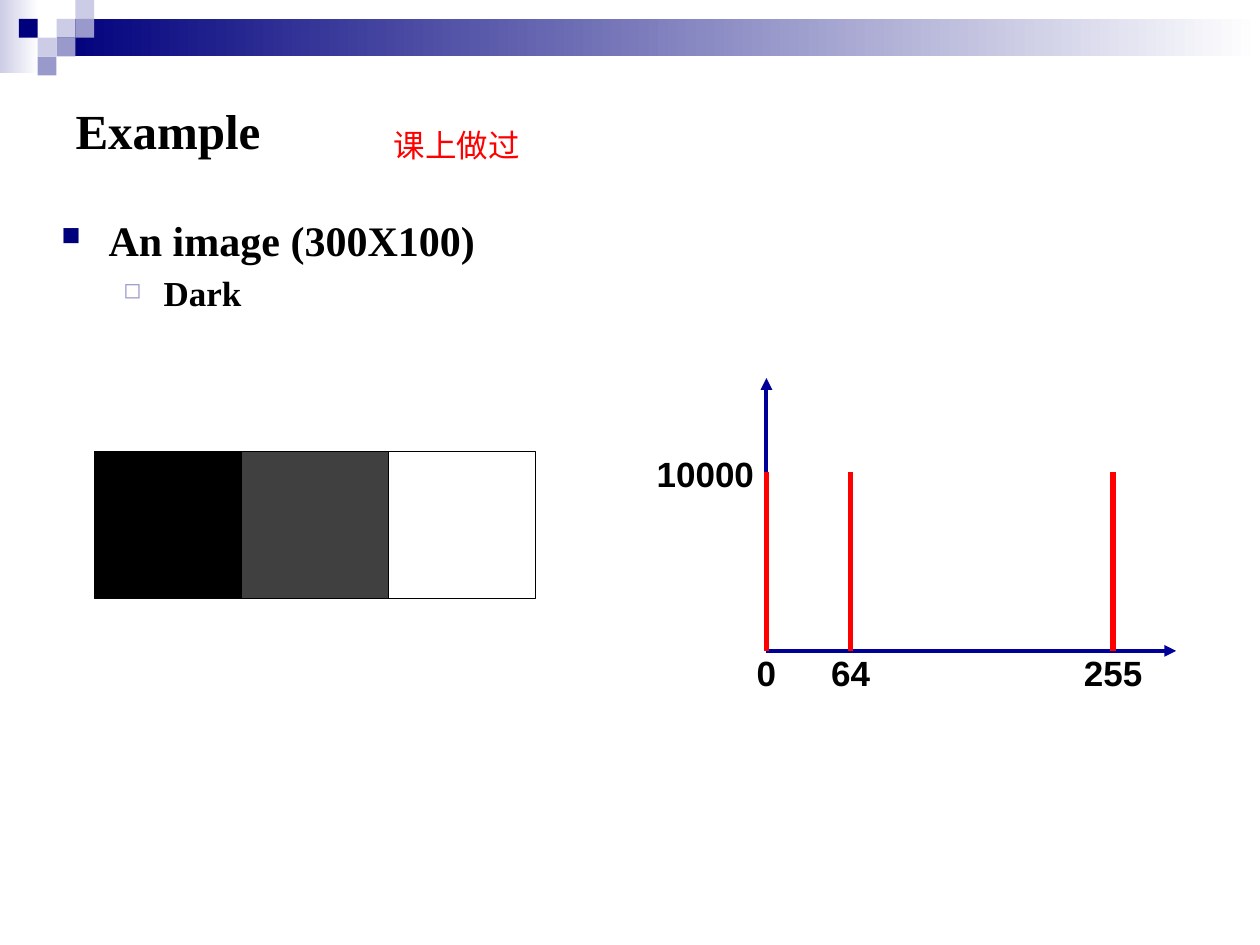
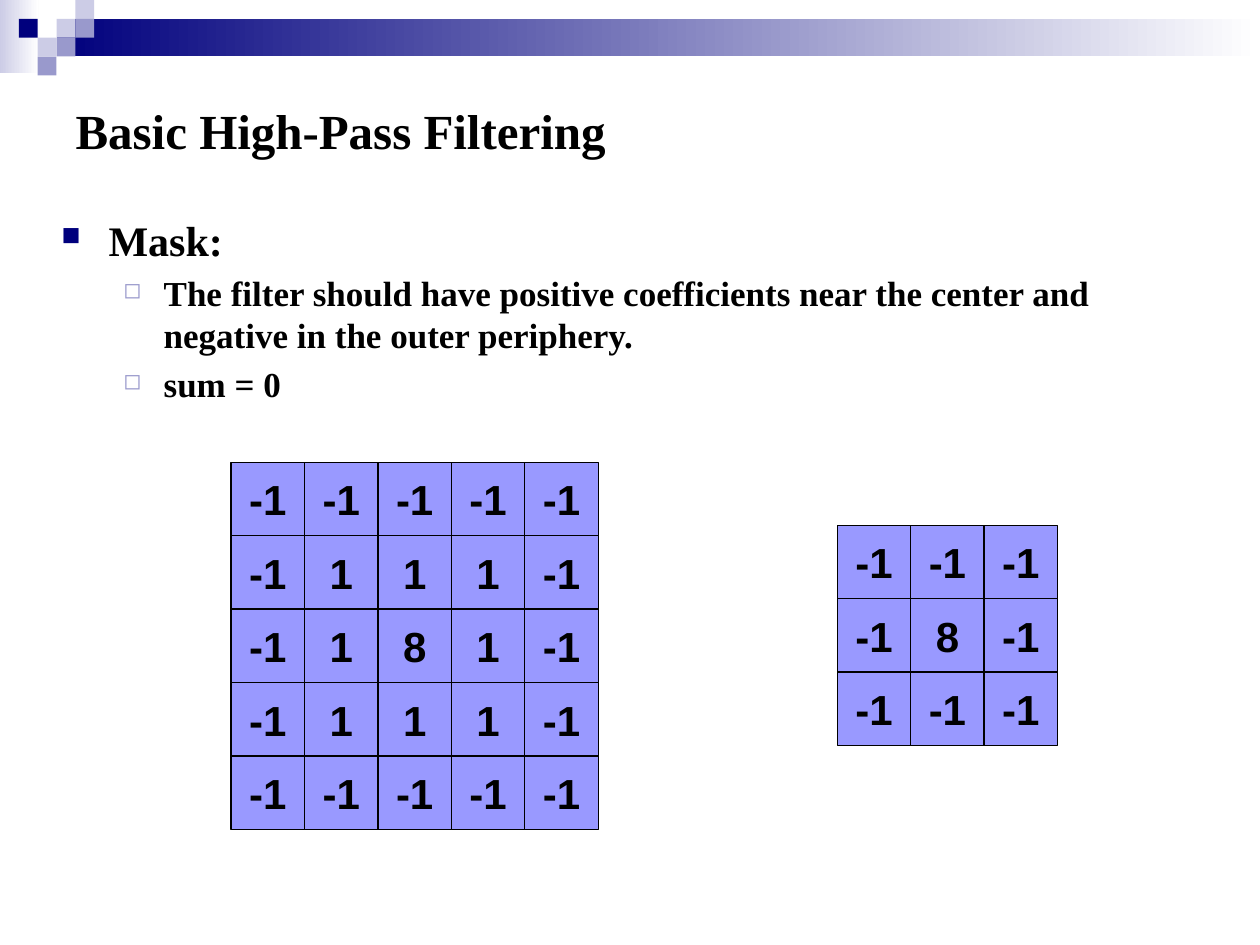
from lxml import etree
from pptx import Presentation
from pptx.dml.color import RGBColor
from pptx.enum.shapes import MSO_CONNECTOR, MSO_SHAPE
from pptx.enum.text import MSO_ANCHOR, PP_ALIGN
from pptx.oxml.ns import qn
from pptx.util import Cm, Pt

RECT = MSO_SHAPE.RECTANGLE
STRAIGHT = MSO_CONNECTOR.STRAIGHT
MIDDLE = MSO_ANCHOR.MIDDLE
LEFT, CENTER = PP_ALIGN.LEFT, PP_ALIGN.CENTER

SERIF, SANS = "Times New Roman", "Arial"
BLACK, WHITE, GRAY, RED = "000000", "FFFFFF", "404040", "FF0000"
NAVY, LAVENDER, PALE = "00007D", "9999CC", "CCCCE6"
AXIS, CELL = "000099", "9999FF"

UNIT = 0.38
SQUARES = [(3, 1, PALE), (4, 0, PALE), (4, 1, LAVENDER), (2, 2, PALE),
           (1, 1, NAVY), (3, 2, LAVENDER), (2, 3, LAVENDER)]
BULLETS = [
    {"char": "■", "color": NAVY, "pct": 62, "size": 24, "left": 0.95, "hang": 0.97},
    {"char": "◻", "color": LAVENDER, "pct": 63, "size": 20, "left": 2.06, "hang": 0.81},
]
MASK_5 = [[-1, -1, -1, -1, -1],
          [-1, 1, 1, 1, -1],
          [-1, 1, 8, 1, -1],
          [-1, 1, 1, 1, -1],
          [-1, -1, -1, -1, -1]]
MASK_3 = [[-1, -1, -1],
          [-1, 8, -1],
          [-1, -1, -1]]


def rgb(color):
    """Turn a hex string into a colour."""
    return RGBColor.from_string(color)


def style(p, size, color=BLACK, font=SERIF, bold=True, align=LEFT):
    """Format the runs of a paragraph."""
    p.alignment = align
    for r in p.runs:
        r.font.name = font
        r.font.size = Pt(size)
        r.font.bold = bold
        r.font.color.rgb = rgb(color)


def add_rect(s, x, y, w, h, fill, outlined=False):
    """Add a rectangle filled with one colour or a pair that fades left to right."""
    sp = s.shapes.add_shape(RECT, Cm(x), Cm(y), Cm(w), Cm(h))
    sp.shadow.inherit = False
    if isinstance(fill, tuple):
        sp.fill.gradient()
        sp.fill.gradient_angle = 0
        for stop, color in zip(sp.fill.gradient_stops, fill):
            stop.color.rgb = rgb(color)
    else:
        sp.fill.solid()
        sp.fill.fore_color.rgb = rgb(fill)
    if outlined:
        sp.line.color.rgb = rgb(BLACK)
        sp.line.width = Pt(0.75)
    else:
        sp.line.fill.background()
    return sp


def add_line(s, x1, y1, x2, y2, color, width, arrow=False):
    """Add a straight line, with an arrowhead at its end if asked."""
    line = s.shapes.add_connector(STRAIGHT, Cm(x1), Cm(y1), Cm(x2), Cm(y2))
    line.line.color.rgb = rgb(color)
    line.line.width = Pt(width)
    if arrow:
        etree.SubElement(line.line._get_or_add_ln(), qn("a:tailEnd"), type="triangle")
    etree.SubElement(line._element.spPr, qn("a:effectLst"))


def add_text(s, x, y, w, h, text, wrap=True):
    """Add a text box and return its text frame."""
    tf = s.shapes.add_textbox(Cm(x), Cm(y), Cm(w), Cm(h)).text_frame
    tf.word_wrap = wrap
    tf.text = text
    return tf


def add_label(s, center_x, center_y, w, text):
    """Add a bold chart label around a centre point."""
    h = 1.1
    tf = add_text(s, center_x - w / 2, center_y - h / 2, w, h, text, wrap=False)
    tf.margin_left = tf.margin_right = 0
    tf.vertical_anchor = MIDDLE
    style(tf.paragraphs[0], 20, font=SANS, align=CENTER)


def add_header(s):
    """Draw the fading bands and the small squares at the top."""
    add_rect(s, 0, 0, 0.78, 1.47, (PALE, WHITE))
    add_rect(s, 3 * UNIT, UNIT, 24.26, 2 * UNIT, (NAVY, WHITE))
    for column, row, color in SQUARES:
        add_rect(s, column * UNIT, row * UNIT, UNIT, UNIT, color)


def add_bullet(p, bullet):
    """Give a paragraph its indent and bullet sign."""
    pPr = p._p.get_or_add_pPr()
    pPr.set("marL", str(Cm(bullet["left"])))
    pPr.set("indent", str(-Cm(bullet["hang"])))
    color = etree.SubElement(pPr, qn("a:buClr"))
    etree.SubElement(color, qn("a:srgbClr"), val=bullet["color"])
    etree.SubElement(pPr, qn("a:buSzPct"), val=str(bullet["pct"] * 1000))
    etree.SubElement(pPr, qn("a:buChar"), char=bullet["char"])


def add_body(s, x, y, w, h, items):
    """Write the bulleted list from pairs of level and text."""
    tf = add_text(s, x, y, w, h, "\n".join(text for _, text in items))
    for i, (p, (level, _)) in enumerate(zip(tf.paragraphs, items)):
        bullet = BULLETS[level]
        p.level = level
        add_bullet(p, bullet)
        if i:
            p.space_before = Pt(bullet["size"] * 0.2)
        style(p, bullet["size"])


def add_slide(prs, title, items, body_height):
    """Start a slide with its header, title and bulleted list."""
    s = prs.slides.add_slide(prs.slide_layouts.get_by_name("Title Only"))
    add_header(s)
    sp = s.shapes.title
    sp.left, sp.top, sp.width, sp.height = Cm(1.27), Cm(1.27), Cm(23.14), Cm(2.69)
    tf = sp.text_frame
    tf.text = title
    tf.vertical_anchor = MIDDLE
    style(tf.paragraphs[0], 28)
    add_body(s, 0.99, 4.19, 23.47, body_height, items)
    return s


def add_gray_tiles(s, x, y, size):
    """Draw the three gray levels of the image side by side."""
    for i, color in enumerate((BLACK, GRAY, WHITE)):
        add_rect(s, x + i * size, y, size, size, color, outlined=True)


def add_histogram(s, x, y, w, h):
    """Draw axes and the bar of each gray level inside the given box."""
    base, bar_height = y + h, 3.6
    add_line(s, x, base, x + w, base, AXIS, 2.25, arrow=True)
    add_line(s, x, base, x, y, AXIS, 2.25, arrow=True)
    add_label(s, x - 1.23, base - bar_height + 0.02, 2.46, "10000")
    for level, offset in ((0, 0), (64, 1.7), (255, 6.99)):
        add_line(s, x + offset, base - bar_height, x + offset, base, RED, 3)
        add_label(s, x + offset, base + 0.43, 1.6, str(level))


def add_mask(s, x, y, size, rows):
    """Draw a filter mask as a grid of numbered cells."""
    for i, row in enumerate(rows):
        for j, value in enumerate(row):
            sp = add_rect(s, x + j * size, y + i * size, size, size, CELL, outlined=True)
            tf = sp.text_frame
            tf.word_wrap = False
            tf.vertical_anchor = MIDDLE
            tf.text = str(value)
            style(tf.paragraphs[0], 24, font=SANS, align=CENTER)


def build_example(prs):
    """Build the slide with a dark image and its histogram."""
    s = add_slide(prs, "Example", [(0, "An image (300X100)"), (1, "Dark")], 3.7)
    add_gray_tiles(s, 1.91, 9.1, 2.96)
    add_histogram(s, 15.45, 7.62, 8.26, 5.5)
    tf = add_text(s, 7.69, 2.41, 3.23, 1.02, "课上做过")
    style(tf.paragraphs[0], 18, color=RED, bold=False)


def build_filtering(prs):
    """Build the slide with the two high-pass masks."""
    s = add_slide(prs, "Basic High-Pass Filtering", [
        (0, "Mask:"),
        (1, "The filter should have positive coefficients near the center "
            "and negative in the outer periphery."),
        (1, "sum = 0"),
    ], 13.08)
    add_mask(s, 16.88, 10.59, 1.48, MASK_3)
    add_mask(s, 4.66, 9.32, 1.48, MASK_5)


def main():
    """Build and save the presentation."""
    prs = Presentation()
    prs.slide_width, prs.slide_height = Cm(25.4), Cm(19.05)
    build_example(prs)
    build_filtering(prs)
    prs.save("out.pptx")


if __name__ == "__main__":
    main()
